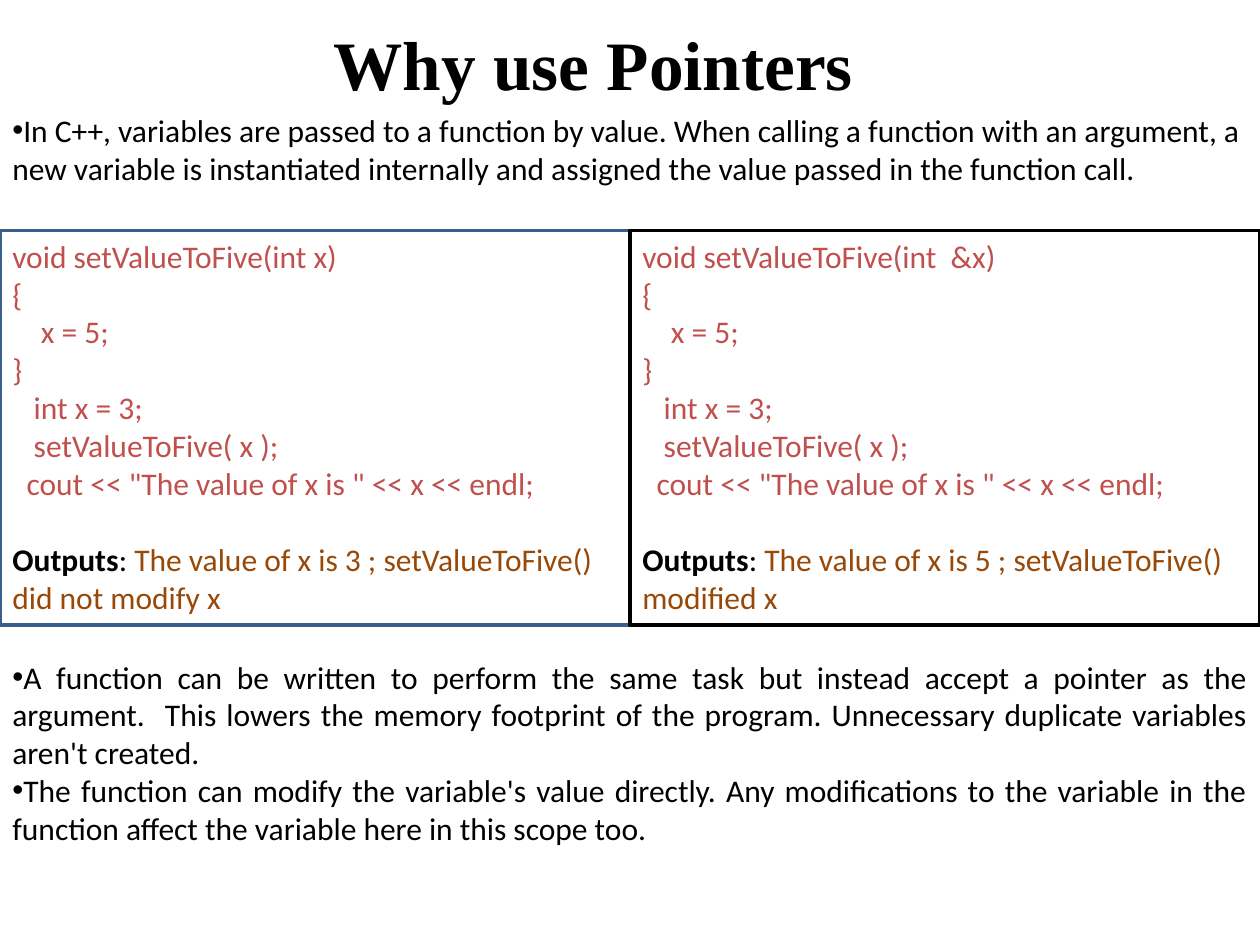
from lxml.etree import SubElement
from pptx import Presentation
from pptx.dml.color import RGBColor
from pptx.enum.shapes import MSO_SHAPE
from pptx.enum.text import MSO_ANCHOR, PP_ALIGN
from pptx.oxml.ns import qn
from pptx.util import Inches, Pt

BLACK = RGBColor(0, 0, 0)
CODE_RED = RGBColor(0xC0, 0x50, 0x4D)
RESULT_BROWN = RGBColor(0x98, 0x48, 0x07)
PANEL_BLUE = RGBColor(0x3A, 0x5F, 0x8C)

# Content
TITLE = "Why use Pointers"
INTRO = [
    "In C++, variables are passed to a function by value. When calling a function "
    "with an argument, a new variable is instantiated internally and assigned the "
    "value passed in the function call.",
]
BENEFITS = [
    "A function can be written to perform the same task but instead accept a pointer "
    "as the argument.  This lowers the memory footprint of the program. Unnecessary "
    "duplicate variables aren't created. ",
    "The function can modify the variable's value directly. Any modifications to the "
    "variable in the function affect the variable here in this scope too.",
]
# Code lines after the signature: (indent in characters, text)
BODY = [
    (0, "{"),
    (4, "x = 5;"),
    (0, "}"),
    (3, "int x = 3;"),
    (3, "setValueToFive( x );"),
    (2, 'cout << "The value of x is " << x << endl;'),
]
PANELS = [
    dict(signature="void setValueToFive(int x)",
         result="The value of x is 3 ; setValueToFive() did not modify x",
         border=PANEL_BLUE, weight=2),
    dict(signature="void setValueToFive(int  &x)",
         result="The value of x is 5 ; setValueToFive() modified x",
         border=BLACK, weight=2.25),
]

# Layout
SLIDE_W, SLIDE_H = 10, 7.5
PANEL_TOP, PANEL_H = 1.83, 3.13
PANEL_W = SLIDE_W / len(PANELS)
CHAR_INDENT = Pt(4.07)
LINE_GAP = Pt(22)


def add_run(paragraph, text, **overrides):
    run = paragraph.add_run()
    run.text = text
    style = dict(name="Calibri", size=Pt(18), bold=False, color=BLACK) | overrides
    run.font.color.rgb = style.pop("color")
    for attribute, value in style.items():
        setattr(run.font, attribute, value)


def paragraphs(frame, count):
    return [frame.paragraphs[0]] + [frame.add_paragraph() for _ in range(count - 1)]


def add_text_frame(left, top, width, height):
    box = slide.shapes.add_textbox(*map(Inches, (left, top, width, height)))
    box.text_frame.word_wrap = True
    return box.text_frame


def add_bullets(items, top, height, align):
    frame = add_text_frame(0, top, SLIDE_W, height)
    for paragraph, item in zip(paragraphs(frame, len(items)), items):
        paragraph.alignment = align
        properties = paragraph._p.get_or_add_pPr()
        properties.set("marL", "0")
        properties.set("indent", "0")
        SubElement(properties, qn("a:buFont")).set("typeface", "Arial")
        SubElement(properties, qn("a:buChar")).set("char", "•")
        add_run(paragraph, item)


def add_panel(column, panel):
    box = slide.shapes.add_shape(
        MSO_SHAPE.RECTANGLE,
        *map(Inches, (column * PANEL_W, PANEL_TOP, PANEL_W, PANEL_H)))
    box.shadow.inherit = False
    box.fill.background()
    box.line.color.rgb = panel["border"]
    box.line.width = Pt(panel["weight"])
    frame = box.text_frame
    frame.word_wrap = True
    frame.vertical_anchor = MSO_ANCHOR.TOP

    code = [(0, panel["signature"])] + BODY
    *code_lines, outputs = paragraphs(frame, len(code) + 1)
    for paragraph, (indent, text) in zip(code_lines, code):
        paragraph.alignment = PP_ALIGN.LEFT
        paragraph._p.get_or_add_pPr().set("marL", str(int(indent * CHAR_INDENT)))
        add_run(paragraph, text, color=CODE_RED)

    outputs.alignment = PP_ALIGN.LEFT
    outputs.space_before = LINE_GAP
    add_run(outputs, "Outputs", bold=True)
    add_run(outputs, ": ")
    add_run(outputs, panel["result"], color=RESULT_BROWN)


presentation = Presentation()
presentation.slide_width = Inches(SLIDE_W)
presentation.slide_height = Inches(SLIDE_H)
slide = presentation.slides.add_slide(presentation.slide_layouts[6])

# Title
heading = add_text_frame(1, 0.25, 7.42, 0.5)
heading.vertical_anchor = MSO_ANCHOR.MIDDLE
heading.paragraphs[0].alignment = PP_ALIGN.CENTER
add_run(heading.paragraphs[0], TITLE, name="Times New Roman", size=Pt(39.6), bold=True)

# Introduction, code comparison and benefits
add_bullets(INTRO, 0.83, 0.71, PP_ALIGN.LEFT)
for column, panel in enumerate(PANELS):
    add_panel(column, panel)
add_bullets(BENEFITS, 5.17, 1.62, PP_ALIGN.JUSTIFY)

presentation.save("out.pptx")
